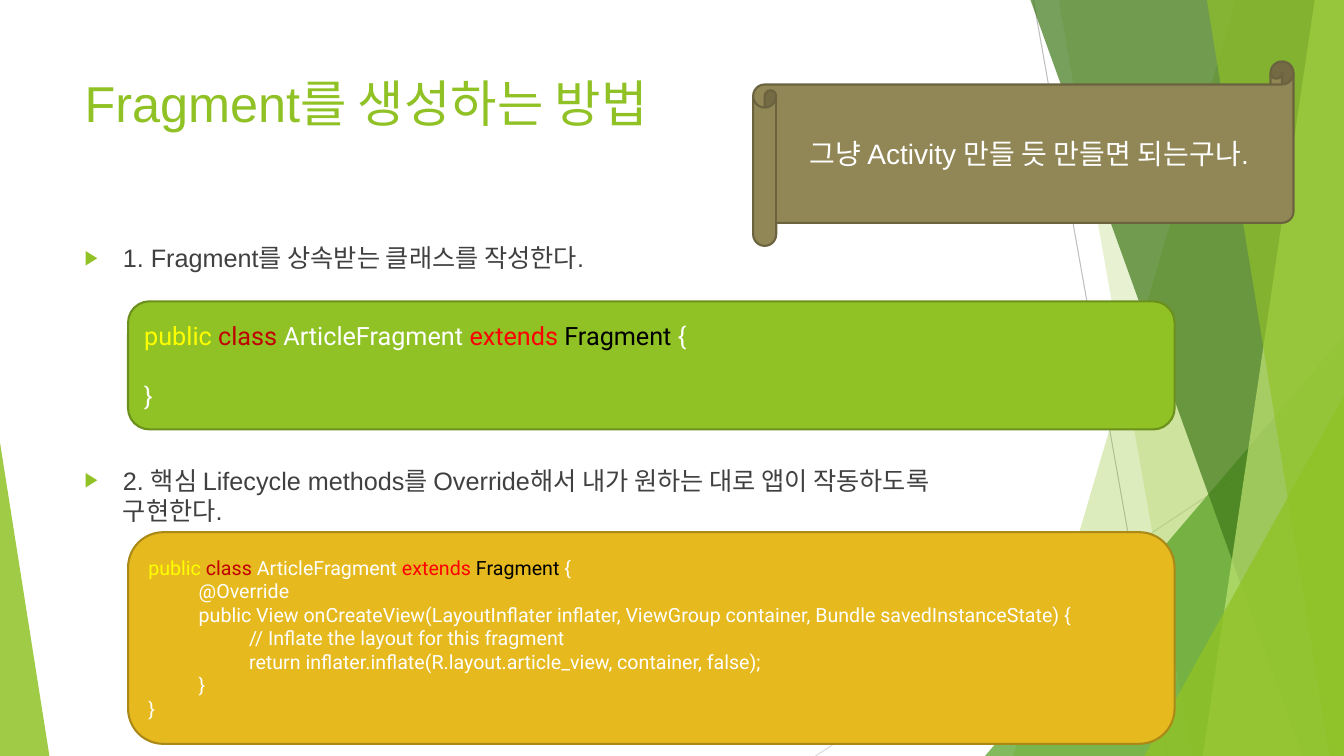
from lxml.etree import SubElement
from pptx import Presentation
from pptx.dml.color import RGBColor
from pptx.enum.shapes import MSO_CONNECTOR, MSO_SHAPE
from pptx.enum.text import MSO_ANCHOR, PP_ALIGN
from pptx.oxml.ns import qn
from pptx.util import Inches, Pt

WIDTH, HEIGHT = 13.33, 7.5
GREEN, WHITE, GRAY = "90C226", "FFFFFF", "404040"

RAYS = [
    ([(10.25, 0), (11.58, HEIGHT)], "BFBFBF"),
    ([(8.09, HEIGHT), (13.3, 4.04)], "D9D9D9"),
]
# Corners, colour, opacity in percent; back to front
FACETS = [
    ([(12.26, 0), (10.05, HEIGHT), (WIDTH, HEIGHT), (WIDTH, 0)], GREEN, 30),
    ([(10.5, 0), (11.82, HEIGHT), (WIDTH, HEIGHT), (WIDTH, 0)], GREEN, 20),
    ([(9.77, HEIGHT), (WIDTH, 3.33), (WIDTH, HEIGHT)], "54A021", 72),
    ([(10.22, 0), (12.92, HEIGHT), (WIDTH, HEIGHT), (WIDTH, 0)], "3F7819", 70),
    ([(13.04, 0), (11.93, HEIGHT), (WIDTH, HEIGHT), (WIDTH, 0)], "C0E474", 70),
    ([(11.97, 0), (13.19, HEIGHT), (WIDTH, HEIGHT), (WIDTH, 0)], GREEN, 65),
    ([(11.35, HEIGHT), (WIDTH, 3.93), (WIDTH, HEIGHT)], GREEN, 80),
    ([(0, 4.39), (0.49, HEIGHT), (0, HEIGHT)], GREEN, 85),
]

CLASS_LINE = [
    ("public ", "FFFF00"), ("class ", "C00000"), ("ArticleFragment ", WHITE),
    ("extends ", "FF0000"), ("Fragment", "000000"), (" {", WHITE),
]
METHOD_LINES = [
    "\t@Override",
    "\tpublic View onCreateView(LayoutInflater inflater, ViewGroup container, "
    "Bundle savedInstanceState) {",
    "\t\t// Inflate the layout for this fragment",
    "\t\treturn inflater.inflate(R.layout.article_view, container, false);",
    "\t}",
    "}",
]
STEPS = [
    "1. Fragment를 상속받는 클래스를 작성한다.",
    "2. 핵심 Lifecycle methods를 Override해서 내가 원하는 대로 앱이 작동하도록 구현한다.",
]


def color(value):
    return RGBColor.from_string(value)


def style(font, name, size, value):
    font.name, font.size = name, Pt(size)
    font.color.rgb = color(value)


def add_ray(page, points, value):
    ends = [Inches(number) for point in points for number in point]
    ray = page.shapes.add_connector(MSO_CONNECTOR.STRAIGHT, *ends)
    ray.line.color.rgb = color(value)
    ray.line.width = Pt(0.75)
    SubElement(ray._element.spPr, qn("a:effectLst"))


def add_facet(page, corners, value, opacity):
    points = [(Inches(x), Inches(y)) for x, y in corners]
    builder = page.shapes.build_freeform(*points[0])
    builder.add_line_segments(points[1:], close=True)
    facet = builder.convert_to_shape()
    facet.shadow.inherit = False
    facet.fill.solid()
    facet.fill.fore_color.rgb = color(value)
    facet.line.fill.background()
    fill = facet._element.spPr.find(qn("a:solidFill"))
    SubElement(fill[0], qn("a:alpha"), val=str(opacity * 1000))


def add_text_box(page, left, top, width, height):
    box = page.shapes.add_textbox(*map(Inches, (left, top, width, height)))
    box.text_frame.word_wrap = True
    return box.text_frame


def add_title(page, text):
    frame = add_text_box(page, 0.74, 0.67, 9.4, 1.44)
    frame.text = text
    style(frame.paragraphs[0].runs[0].font, "Arial", 36, GREEN)


def add_bullet(para):
    properties = para._p.get_or_add_pPr()
    properties.set("marL", str(Inches(0.38)))
    properties.set("indent", str(-Inches(0.38)))
    bullet_color = SubElement(properties, qn("a:buClr"))
    SubElement(bullet_color, qn("a:srgbClr"), val=GREEN)
    SubElement(properties, qn("a:buSzPct"), val="80000")
    SubElement(properties, qn("a:buFont"), typeface="Arial")
    SubElement(properties, qn("a:buChar"), char="▶")


def add_steps(page, steps, gap):
    """List the steps, leaving a gap in points between them for code panels."""
    frame = add_text_box(page, 0.74, 2.36, 9.4, 4.24)
    frame.text = "\n".join(steps)
    for index, para in enumerate(frame.paragraphs):
        add_bullet(para)
        if index:
            para.space_before = Pt(gap)
        style(para.runs[0].font, "Arial", 18, GRAY)


def add_panel(page, kind, place, fill, line):
    panel = page.shapes.add_shape(kind, *map(Inches, place))
    panel.shadow.inherit = False
    panel.fill.solid()
    panel.fill.fore_color.rgb = color(fill)
    panel.line.color.rgb = color(line)
    panel.line.width = Pt(1.5)
    frame = panel.text_frame
    frame.word_wrap = True
    frame.vertical_anchor = MSO_ANCHOR.MIDDLE
    return frame


def add_code(page, top, height, fill, line, lines, size, gap=0):
    """Show the class line and the given lines, the latter set apart by gap points."""
    place = (1.27, top, 10.38, height)
    frame = add_panel(page, MSO_SHAPE.ROUNDED_RECTANGLE, place, fill, line)
    heading = frame.paragraphs[0]
    heading.alignment = PP_ALIGN.LEFT
    for text, value in CLASS_LINE:
        span = heading.add_run()
        span.text = text
        style(span.font, "Roboto", size, value)
    for text in lines:
        para = frame.add_paragraph()
        para.text = text
        para.alignment = PP_ALIGN.LEFT
        para.space_before = Pt(gap)
        style(para.runs[0].font, "Roboto", size, WHITE)


def add_scroll(page, text):
    place = (7.47, 0.61, 5.36, 1.83)
    frame = add_panel(page, MSO_SHAPE.HORIZONTAL_SCROLL, place, "918655", "6B633F")
    frame.text = text
    para = frame.paragraphs[0]
    para.alignment = PP_ALIGN.CENTER
    style(para.runs[0].font, "Arial", 20, WHITE)


def main():
    deck = Presentation()
    deck.slide_width, deck.slide_height = Inches(WIDTH), Inches(HEIGHT)
    page = deck.slides.add_slide(deck.slide_layouts[6])
    for ray in RAYS:
        add_ray(page, *ray)
    for facet in FACETS:
        add_facet(page, *facet)
    add_title(page, "Fragment를 생성하는 방법")
    add_steps(page, STEPS, gap=137)
    add_code(page, 2.99, 1.27, GREEN, "6B901C", ["}"], 18, gap=21)
    add_code(page, 5.28, 2.1, "E6B91E", "AA8916", METHOD_LINES, 14)
    add_scroll(page, "그냥 Activity 만들 듯 만들면 되는구나.")
    deck.save("out.pptx")


if __name__ == "__main__":
    main()
